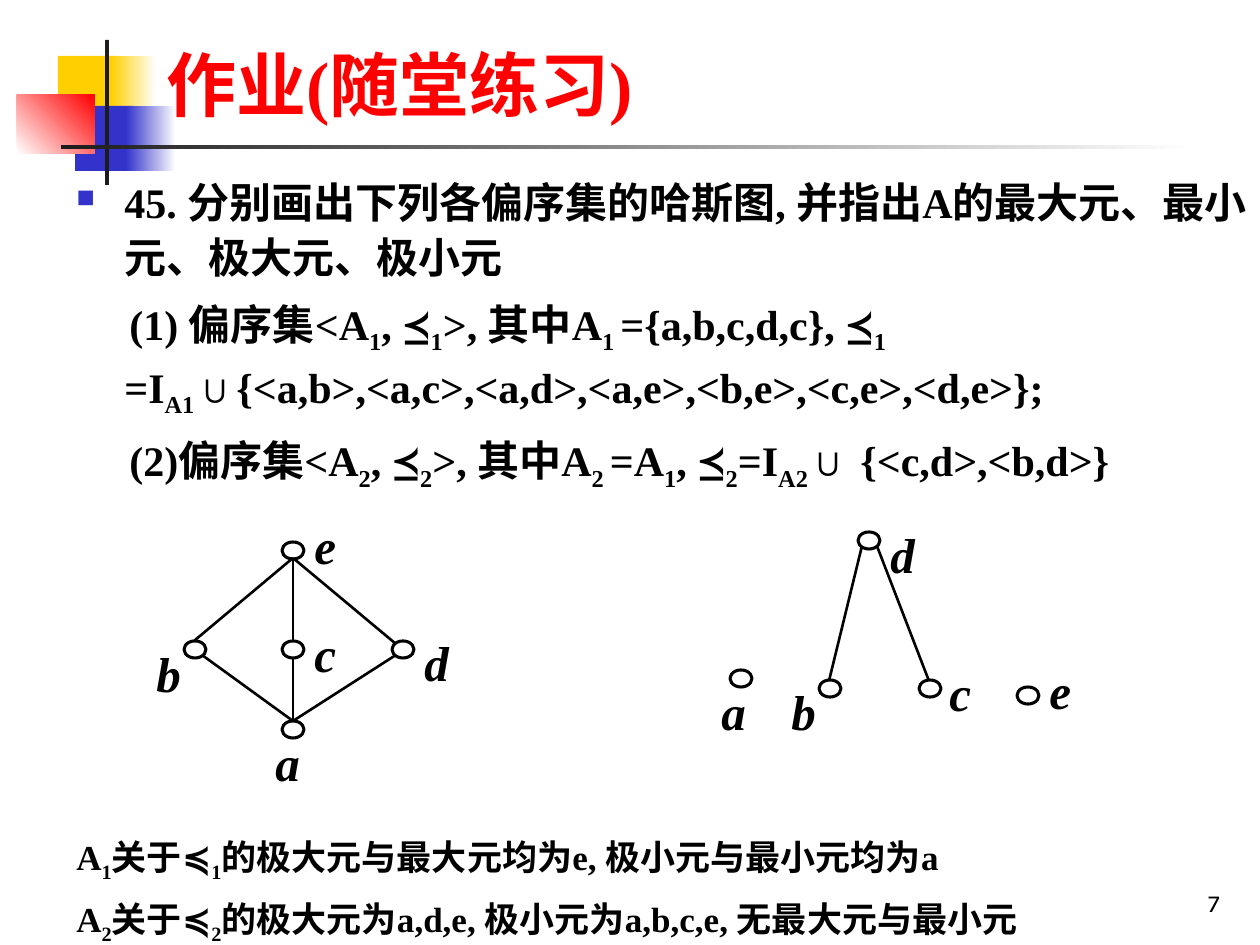
from lxml.etree import SubElement
from pptx import Presentation
from pptx.dml.color import RGBColor
from pptx.enum.shapes import MSO_CONNECTOR, MSO_SHAPE
from pptx.enum.text import MSO_ANCHOR, PP_ALIGN
from pptx.oxml.ns import qn
from pptx.util import Pt

PX = 914400 // 126
SERIF = "Times New Roman"


def color(hex_text):
    return RGBColor.from_string(hex_text)


def add_text(bounds, paragraphs, size, ink="000000", font=SERIF, bold=True,
             italic=False, spacing=1.1, before=0):
    """Each paragraph is a list of runs; every second run is a subscript."""
    box = slide.shapes.add_textbox(*[n * PX for n in bounds])
    frame = box.text_frame
    frame.word_wrap = True
    for index, runs in enumerate(paragraphs):
        para = frame.paragraphs[0] if index == 0 else frame.add_paragraph()
        para.line_spacing = spacing
        para.space_before = Pt(before if index else 0)
        for position, text in enumerate(runs):
            span = para.add_run()
            span.text = text
            span.font.size = Pt(size)
            span.font.name = font
            span.font.bold = bold
            span.font.italic = italic
            span.font.color.rgb = color(ink)
            if position % 2:
                span.font._element.set("baseline", "-25000")
    return frame


deck = Presentation()
deck.slide_width = 1260 * PX
deck.slide_height = 945 * PX
slide = deck.slides.add_slide(deck.slide_layouts[6])

# Corner ornament and title rule: bounds, start colour, end colour, angle
ornament = [
    ((58, 56, 60, 65), "FFCF01", None, 0),
    ((111, 56, 45, 65), "FFCF01", "FFFFFF", 0),
    ((75, 106, 58, 65), "3333CC", None, 0),
    ((126, 106, 50, 65), "3333CC", "FFFFFF", 0),
    ((17, 95, 78, 59), "FFFFFF", "FF0000", 45),
    ((105, 40, 4, 145), "1C1C1C", None, 0),
    ((61, 145, 1134, 4), "1C1C1C", "FFFFFF", 0),
]
for bounds, start, end, angle in ornament:
    block = slide.shapes.add_shape(MSO_SHAPE.RECTANGLE, *[n * PX for n in bounds])
    block.shadow.inherit = False
    block.line.fill.background()
    if end is None:
        block.fill.solid()
        block.fill.fore_color.rgb = color(start)
    else:
        block.fill.gradient()
        block.fill.gradient_angle = angle
        for stop, shade, place in zip(block.fill.gradient_stops, (start, end), (0, 1)):
            stop.color.rgb = color(shade)
            stop.position = place

# Title and page number
title = add_text((154, 26, 1074, 106), [["作业(随堂练习)"]], 40, ink="FF0000", spacing=1.0)
title.vertical_anchor = MSO_ANCHOR.BOTTOM
number = add_text((970, 861, 262, 63), [["7"]], 14, font="Karla", bold=False, spacing=1.0)
number.vertical_anchor = MSO_ANCHOR.BOTTOM
number.paragraphs[0].alignment = PP_ALIGN.RIGHT

# Problem statement
problem = add_text((64, 165, 1196, 340), [
    ["45. 分别画出下列各偏序集的哈斯图, 并指出A的最大元、最小元、极大元、极小元"],
    ["(1) 偏序集<A", "1", ", ≼", "1", ">, 其中A", "1 ", "={a,b,c,d,c}, ≼", "1 ",
     "=I", "A1", "∪{<a,b>,<a,c>,<a,d>,<a,e>,<b,e>,<c,e>,<d,e>};"],
    ["(2)偏序集<A", "2", ", ≼", "2", ">, 其中A", "2 ", "=A", "1", ", ≼", "2",
     "=I", "A2", "∪ {<c,d>,<b,d>}"],
], 24, before=6)
for para, indent in zip(problem.paragraphs, (-48, 5, 5)):
    properties = para._p.get_or_add_pPr()
    properties.set("marL", str(48 * PX))
    properties.set("indent", str(indent * PX))
bullet = problem.paragraphs[0]._p.get_or_add_pPr()
SubElement(SubElement(bullet, qn("a:buClr")), qn("a:srgbClr")).set("val", "3333CC")
SubElement(bullet, qn("a:buSzPct")).set("val", "60000")
SubElement(bullet, qn("a:buChar")).set("char", "■")

# Answers
add_text((64, 825, 1196, 120), [
    ["A", "1", "关于≼", "1", "的极大元与最大元均为e, 极小元与最小元均为a"],
    ["A", "2", "关于≼", "2", "的极大元为a,d,e, 极小元为a,b,c,e, 无最大元与最小元"],
], 20, before=5)

# Hasse diagram elements: name, node corner, label corner
elements = [
    ("a", (282, 721), (263, 721)),
    ("b", (184, 641), (144, 631)),
    ("c", (282, 641), (302, 611)),
    ("d", (392, 641), (412, 621)),
    ("e", (282, 542), (302, 503)),
    ("a", (730, 670), (709, 670)),
    ("b", (819, 680), (779, 670)),
    ("c", (919, 680), (937, 651)),
    ("d", (858, 532), (878, 512)),
    ("e", (1017, 687), (1037, 648)),
]
for name, node_corner, label_corner in elements:
    node = slide.shapes.add_shape(
        MSO_SHAPE.OVAL, *[n * PX for n in (*node_corner, 22, 17)])
    node.shadow.inherit = False
    node.fill.background()
    node.line.color.rgb = color("000000")
    node.line.width = Pt(1.75)
    width = 39 if name in "ae" else 59
    add_text((*label_corner, width, 78), [[name]], 28, italic=True)

# Hasse diagram edges
edges = [
    (202, 655, 293, 721), (293, 658, 293, 721), (396, 655, 293, 721),
    (293, 558, 194, 641), (293, 558, 293, 641), (293, 558, 396, 644),
    (877, 546, 929, 681), (862, 546, 829, 681),
]
for ends in edges:
    edge = slide.shapes.add_connector(MSO_CONNECTOR.STRAIGHT, *[n * PX for n in ends])
    edge.line.color.rgb = color("000000")
    edge.line.width = Pt(1.5)
    SubElement(edge._element.spPr, qn("a:effectLst"))

deck.save("out.pptx")
